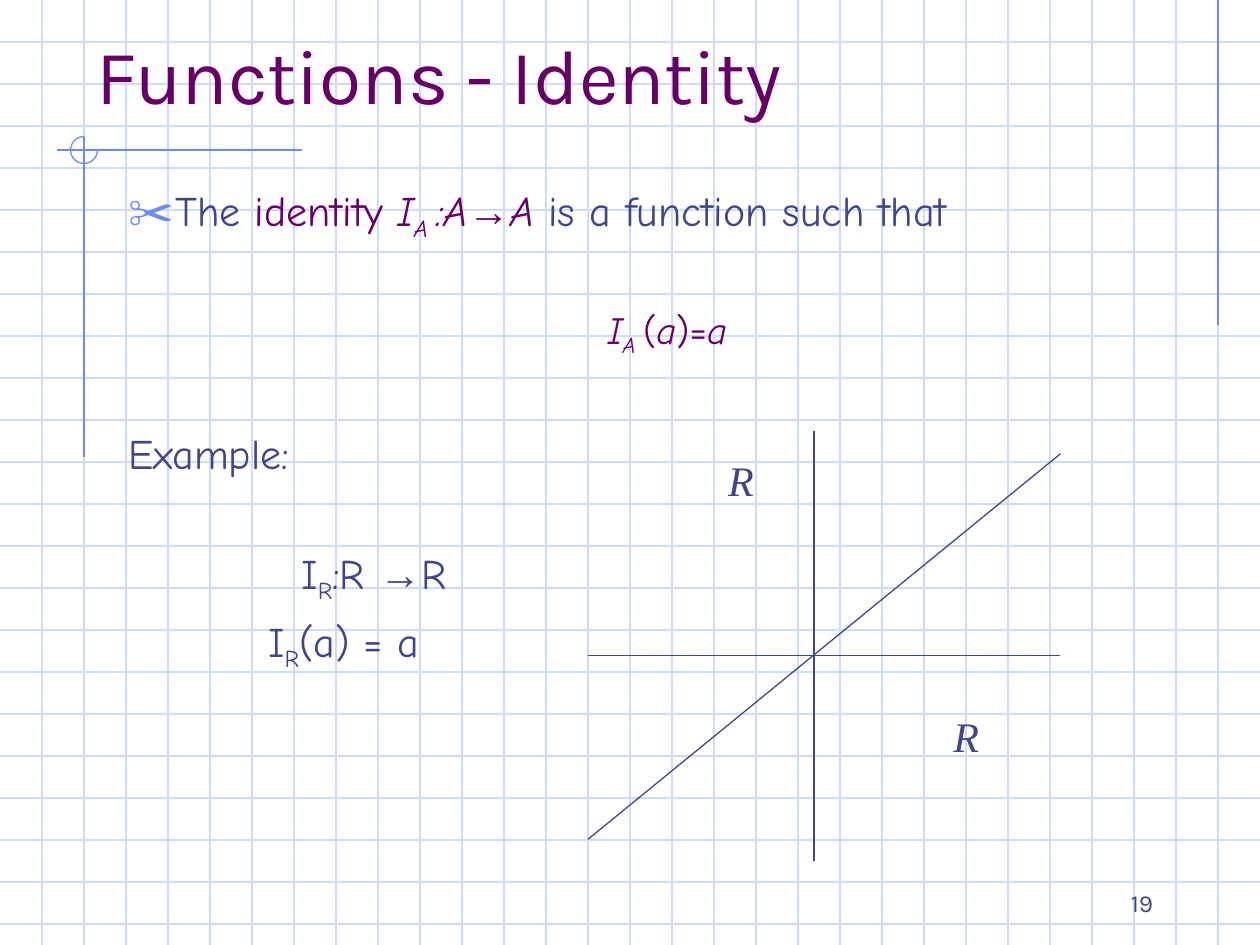
from lxml.etree import SubElement
from pptx import Presentation
from pptx.dml.color import RGBColor
from pptx.enum.shapes import MSO_CONNECTOR, MSO_SHAPE
from pptx.enum.text import MSO_ANCHOR, MSO_AUTO_SIZE, PP_ALIGN
from pptx.oxml.ns import qn
from pptx.util import Pt

GRID = RGBColor(0xCF, 0xDB, 0xFD)
ACCENT = RGBColor(0x6F, 0x89, 0xF7)
INK = RGBColor(0x40, 0x45, 0x8C)
PURPLE = RGBColor(0x66, 0x00, 0x66)
HEADING_FONT, BODY_FONT, ARROW_FONT, MATH_FONT = "Karla", "Comic Neue", "Arial", "Times New Roman"

WIDTH, HEIGHT, GRID_STEP = 720, 540, 24

TITLE = "Functions - Identity"
BODY = [
    dict(size=24, left=27, before=0, bullet="✂", runs=[
        ("The ", INK, ""), ("identity ", PURPLE, ""), ("I", PURPLE, "italic"),
        ("A ", PURPLE, "italic sub"), (":A", PURPLE, "italic"), ("→", PURPLE, "arrow"),
        ("A", PURPLE, "italic"), (" is a function such that", INK, "")]),
    dict(size=22, left=274, before=36.3, runs=[
        ("I", PURPLE, "italic"), ("A ", PURPLE, "italic sub"), ("(", PURPLE, ""),
        ("a", PURPLE, "italic"), (")=", PURPLE, ""), ("a", PURPLE, "italic")]),
    dict(size=24, left=0, before=39.6, runs=[("Example:", INK, "")]),
    dict(size=24, left=99, before=39.6, runs=[
        ("I", INK, ""), ("R", INK, "sub"), (":R ", INK, ""), ("→", INK, "arrow"), ("R", INK, "")]),
    dict(size=24, left=80, before=6, runs=[
        ("I", INK, ""), ("R", INK, "sub"), ("(a) = a", INK, "")]),
]
FRAME_LINES = [(696, 0, 696, 186), (32.4, 85.7, 172.8, 85.7), (48, 78.5, 48, 261.4)]
CORNER_ARC = (40.3, 78, 15.4, 15.4)
GRAPH_LINES = [(336, 374.4, 605.6, 374.4), (465.2, 491.8, 465.2, 246.2), (336, 479.6, 606, 259.3)]
AXIS_LABELS = [("R", (537.8, 402.5, 28.8, 36), PP_ALIGN.CENTER),
               ("R", (409, 256.3, 45.4, 36), PP_ALIGN.LEFT)]
PAGE_NUMBER, PAGE_NUMBER_BOX = "19", (516.2, 509.8, 149.8, 18)


def points(values):
    return [Pt(value) for value in values]


def add_line(ends, color):
    line = slide.shapes.add_connector(MSO_CONNECTOR.STRAIGHT, *points(ends))
    line.line.color.rgb = color
    line.line.width = Pt(0.75)
    SubElement(line.element.spPr, qn("a:effectLst"))


def add_run(paragraph, text, font_name, size, color, italic=False):
    run = paragraph.add_run()
    run.text = text
    run.font.name = font_name
    run.font.size = Pt(size)
    run.font.color.rgb = color
    run.font.italic = italic
    return run


def add_label(text, box, font_name, size, align, anchor, italic=False):
    frame = slide.shapes.add_textbox(*points(box)).text_frame
    frame.word_wrap = True
    frame.vertical_anchor = anchor
    paragraph = frame.paragraphs[0]
    paragraph.alignment = align
    add_run(paragraph, text, font_name, size, INK, italic)


def place(placeholder, box, anchor):
    placeholder.left, placeholder.top, placeholder.width, placeholder.height = points(box)
    placeholder.element.getparent().append(placeholder.element)
    frame = placeholder.text_frame
    frame.auto_size = MSO_AUTO_SIZE.NONE
    frame.vertical_anchor = anchor
    return frame


def set_bullet(paragraph, left, bullet):
    properties = paragraph._p.get_or_add_pPr()
    properties.set("marL", str(Pt(left)))
    properties.set("indent", str(-Pt(left) if bullet else 0))
    if not bullet:
        SubElement(properties, qn("a:buNone"))
        return
    color = SubElement(properties, qn("a:buClr"))
    SubElement(color, qn("a:srgbClr"), val=str(ACCENT))
    SubElement(properties, qn("a:buSzPct"), val="110000")
    SubElement(properties, qn("a:buChar"), char=bullet)


presentation = Presentation()
presentation.slide_width, presentation.slide_height = Pt(WIDTH), Pt(HEIGHT)
slide = presentation.slides.add_slide(presentation.slide_layouts[1])

for y in range(GRID_STEP, HEIGHT, GRID_STEP):
    add_line((0, y, WIDTH, y), GRID)
for x in range(GRID_STEP, WIDTH, GRID_STEP):
    add_line((x, 0, x, HEIGHT), GRID)
for ends in FRAME_LINES:
    add_line(ends, ACCENT)

arc = slide.shapes.add_shape(MSO_SHAPE.ARC, *points(CORNER_ARC))
arc.adjustments[0], arc.adjustments[1] = 0, 162
arc.shadow.inherit = False
arc.fill.background()
arc.line.color.rgb = ACCENT
arc.line.width = Pt(0.75)

add_label(PAGE_NUMBER, PAGE_NUMBER_BOX, HEADING_FONT, 14, PP_ALIGN.RIGHT, MSO_ANCHOR.BOTTOM)

title_frame = place(slide.shapes.title, (48, 24, 648, 48), MSO_ANCHOR.BOTTOM)
title_frame.paragraphs[0].alignment = PP_ALIGN.LEFT
add_run(title_frame.paragraphs[0], TITLE, HEADING_FONT, 44, PURPLE)

body_frame = place(slide.placeholders[1], (66, 102, 612, 390), MSO_ANCHOR.TOP)
for index, item in enumerate(BODY):
    paragraph = body_frame.add_paragraph() if index else body_frame.paragraphs[0]
    set_bullet(paragraph, item["left"], item.get("bullet"))
    paragraph.space_before = Pt(item["before"])
    for text, color, style in item["runs"]:
        font_name = ARROW_FONT if "arrow" in style else BODY_FONT
        run = add_run(paragraph, text, font_name, item["size"], color, "italic" in style)
        if "sub" in style:
            run._r.get_or_add_rPr().set("baseline", "-25000")

for ends in GRAPH_LINES:
    add_line(ends, INK)
for text, box, align in AXIS_LABELS:
    add_label(text, box, MATH_FONT, 24, align, MSO_ANCHOR.MIDDLE, italic=True)

presentation.save("out.pptx")
